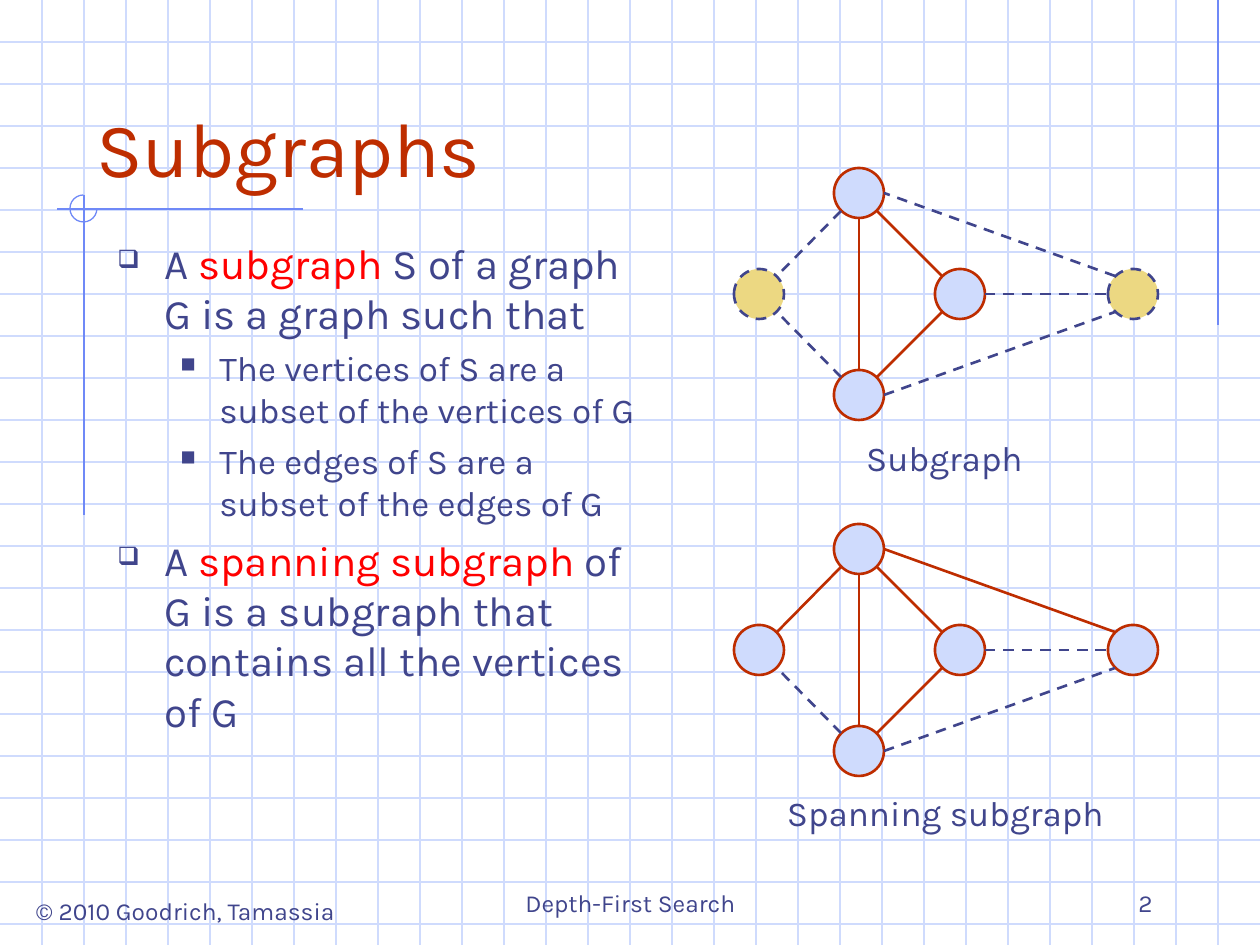
from lxml import etree
from pptx import Presentation
from pptx.dml.color import RGBColor
from pptx.enum.dml import MSO_LINE
from pptx.enum.shapes import MSO_CONNECTOR, MSO_SHAPE
from pptx.enum.text import MSO_ANCHOR, PP_ALIGN
from pptx.oxml.ns import qn
from pptx.util import Emu, Pt

DASH = MSO_LINE.DASH
STRAIGHT = MSO_CONNECTOR.STRAIGHT
ELLIPSE, ARC = MSO_SHAPE.OVAL, MSO_SHAPE.ARC
TOP, BOTTOM = MSO_ANCHOR.TOP, MSO_ANCHOR.BOTTOM
LEFT, CENTER, RIGHT = PP_ALIGN.LEFT, PP_ALIGN.CENTER, PP_ALIGN.RIGHT

INDIGO = RGBColor(0x40, 0x45, 0x8C)
RUST = RGBColor(0xBE, 0x2D, 0x00)
RED = RGBColor(0xFF, 0x00, 0x00)
PALE_BLUE = RGBColor(0xCF, 0xDB, 0xFD)
BLUE = RGBColor(0x6F, 0x89, 0xF7)
SAND = RGBColor(0xEC, 0xD8, 0x82)

PX_PER_INCH = 126
WIDTH, HEIGHT, GRID = 1260, 945, 42
RADIUS, DIAGONAL = 25, 18

# Points on a vertex's rim, relative to its centre
RIM = {
    "N": (0, -RADIUS), "S": (0, RADIUS), "W": (-RADIUS, 0), "E": (RADIUS, 0),
    "NW": (-DIAGONAL, -DIAGONAL), "NE": (DIAGONAL, -DIAGONAL),
    "SW": (-DIAGONAL, DIAGONAL), "SE": (DIAGONAL, DIAGONAL),
}
VERTICES = {
    "middle": (960, 294), "left": (759, 294), "top": (859, 193),
    "bottom": (859, 395), "right": (1133, 294),
}
EDGES = [
    ("top", "SW", "left", "NE"), ("bottom", "NW", "left", "SE"),
    ("bottom", "NE", "middle", "SW"), ("top", "SE", "middle", "NW"),
    ("top", "S", "bottom", "N"), ("middle", "E", "right", "W"),
    ("bottom", "E", "right", "SW"), ("right", "NW", "top", "E"),
]
TRIANGLE = {("bottom", "middle"), ("top", "middle"), ("top", "bottom")}

# Each body item: level, then (text, colour) runs
BODY = [
    (0, [("A ", INDIGO), ("subgraph", RED),
         (" S of a graph G is a graph such that", INDIGO)]),
    (1, [("The vertices of S are a subset of the vertices of G", INDIGO)]),
    (1, [("The edges of S are a subset of the edges of G", INDIGO)]),
    (0, [("A ", INDIGO), ("spanning subgraph", RED),
         (" of G is a subgraph that contains all the vertices of G", INDIGO)]),
]
# Per level: font size, space before, bullet, left margin px, hanging px
LEVELS = [(24, 6, "❑", 47, 47), (20, 5, "■", 102, 39)]


def px(length):
    return Emu(round(length * 914400 / PX_PER_INCH))


class SlideBuilder:
    """Holds the style and the current slide."""

    font = "Karla"

    def __init__(self, slide):
        self.slide = slide

    def style_line(self, line, color, width, dashed):
        line.color.rgb = color
        line.width = Pt(width)
        if dashed:
            line.dash_style = DASH

    def line(self, start, end, color, width=0.75, dashed=False):
        connector = self.slide.shapes.add_connector(
            STRAIGHT, *map(px, (*start, *end)))
        self.style_line(connector.line, color, width, dashed)
        properties = connector._element.find(qn("p:spPr"))
        etree.SubElement(properties, qn("a:effectLst"))

    def shape(self, kind, box, fill, color, width=0.75, dashed=False):
        shape = self.slide.shapes.add_shape(kind, *map(px, box))
        shape.shadow.inherit = False
        if fill is None:
            shape.fill.background()
        else:
            shape.fill.solid()
            shape.fill.fore_color.rgb = fill
        self.style_line(shape.line, color, width, dashed)
        return shape

    def text_frame(self, box, anchor=TOP, wrap=True):
        text_frame = self.slide.shapes.add_textbox(*map(px, box)).text_frame
        text_frame.word_wrap = wrap
        text_frame.vertical_anchor = anchor
        return text_frame

    def format_run(self, run, size, color):
        run.font.name = self.font
        run.font.size = Pt(size)
        run.font.color.rgb = color

    def text(self, text, box, size, color=INDIGO, align=CENTER, anchor=TOP,
             wrap=True):
        text_frame = self.text_frame(box, anchor, wrap)
        text_frame.text = text
        paragraph = text_frame.paragraphs[0]
        paragraph.alignment = align
        self.format_run(paragraph.runs[0], size, color)

    def bullet(self, paragraph, symbol, margin, hanging):
        properties = paragraph._p.get_or_add_pPr()
        properties.set("marL", str(px(margin)))
        properties.set("indent", str(-px(hanging)))
        color = etree.SubElement(properties, qn("a:buClr"))
        etree.SubElement(color, qn("a:srgbClr"), val=str(INDIGO))
        etree.SubElement(properties, qn("a:buSzPct"), val="60000")
        etree.SubElement(properties, qn("a:buChar"), char=symbol)

    def bullet_list(self, items, box):
        text_frame = self.text_frame(box)
        for index, (level, runs) in enumerate(items):
            paragraph = (text_frame.add_paragraph() if index
                         else text_frame.paragraphs[0])
            size, space, symbol, margin, hanging = LEVELS[level]
            paragraph.level = level
            paragraph.space_before = Pt(space)
            self.bullet(paragraph, symbol, margin, hanging)
            for text, color in runs:
                run = paragraph.add_run()
                run.text = text
                self.format_run(run, size, color)

    def graph(self, offset, solid_edges, outside_vertices=()):
        """Draw the graph offset px down, dashing what is not in the subgraph."""
        for name, (x, y) in VERTICES.items():
            outside = name in outside_vertices
            box = (x - RADIUS, y + offset - RADIUS, 2 * RADIUS, 2 * RADIUS)
            self.shape(ELLIPSE, box, SAND if outside else PALE_BLUE,
                       INDIGO if outside else RUST, 1.5, outside)
        for first, first_side, second, second_side in EDGES:
            solid = (first, second) in solid_edges
            start, end = [
                (VERTICES[name][0] + RIM[side][0],
                 VERTICES[name][1] + RIM[side][1] + offset)
                for name, side in ((first, first_side), (second, second_side))]
            self.line(start, end, RUST if solid else INDIGO, 1.5, not solid)

    def background(self):
        for y in range(GRID, HEIGHT, GRID):
            self.line((0, y), (WIDTH, y), PALE_BLUE)
        for x in range(GRID, WIDTH, GRID):
            self.line((x, 0), (x, HEIGHT), PALE_BLUE)
        self.line((1218, 0), (1218, 325), BLUE)
        self.line((303, 209), (57, 209), BLUE)
        self.line((84, 195), (84, 515), BLUE)
        arc = self.shape(ARC, (70, 195, 27, 27), None, BLUE)
        # Clockwise from 0 to 270 degrees
        arc.adjustments[0], arc.adjustments[1] = 0, 162


def main():
    presentation = Presentation()
    presentation.slide_width, presentation.slide_height = px(WIDTH), px(HEIGHT)
    slide = presentation.slides.add_slide(presentation.slide_layouts[6])
    builder = SlideBuilder(slide)

    builder.background()
    builder.text("© 2010 Goodrich, Tamassia", (15, 890, 341, 43), 14, wrap=False)
    builder.text("Depth-First Search", (431, 861, 399, 63), 14, anchor=BOTTOM)
    builder.text("2", (903, 861, 262, 63), 14, align=RIGHT, anchor=BOTTOM)
    builder.text("Subgraphs", (84, 42, 1071, 157), 44, RUST, LEFT, BOTTOM)
    builder.bullet_list(BODY, (105, 231, 557, 598))

    builder.text("Subgraph", (748, 430, 393, 55), 20)
    builder.text("Spanning subgraph", (694, 785, 503, 55), 20)
    builder.graph(0, TRIANGLE, ("left", "right"))
    builder.graph(356, TRIANGLE | {("top", "left"), ("right", "top")})

    presentation.save("out.pptx")


if __name__ == "__main__":
    main()
